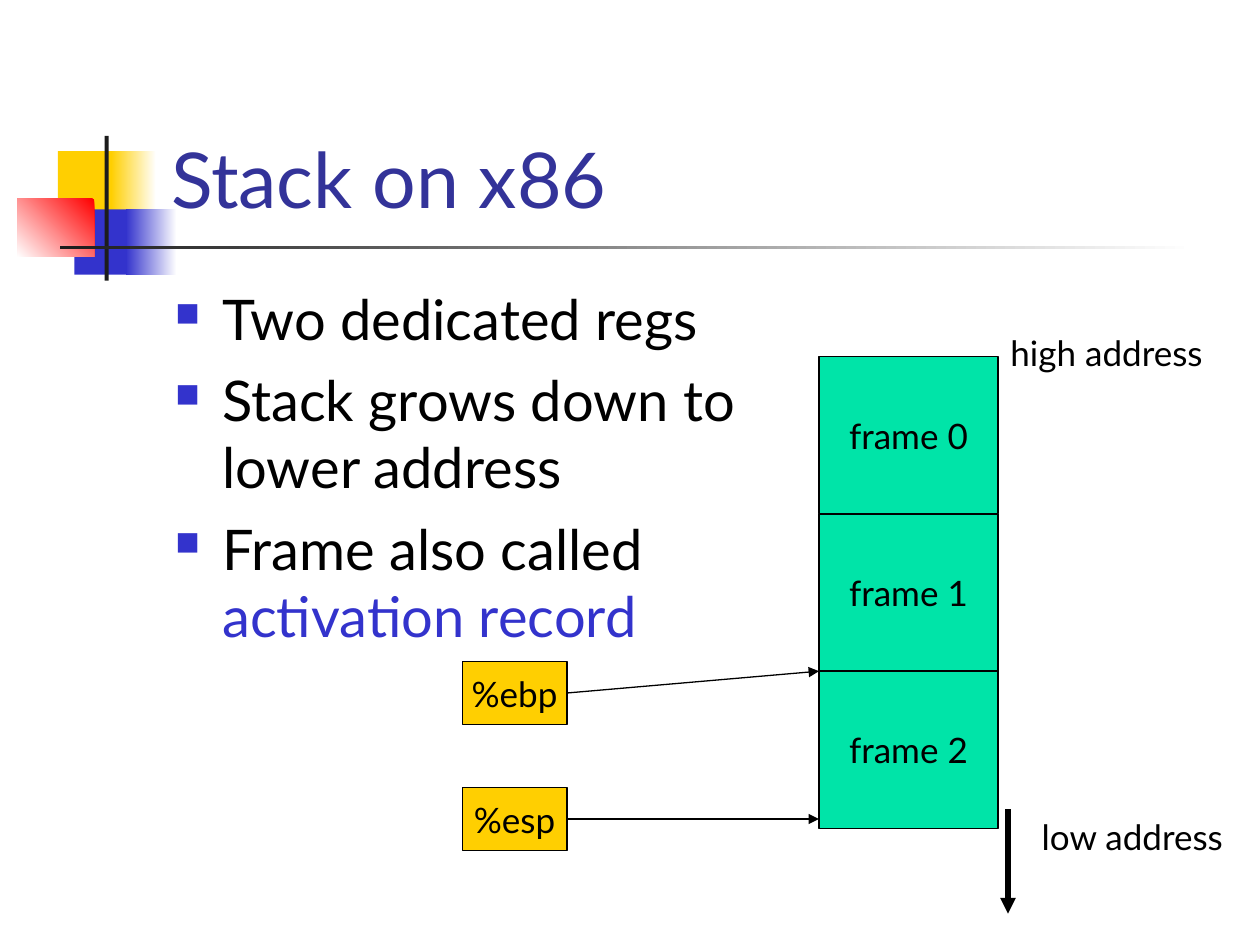
from pptx import Presentation
from pptx.dml.color import RGBColor
from pptx.enum.shapes import MSO_CONNECTOR as Connector, MSO_SHAPE as Shape
from pptx.enum.text import MSO_ANCHOR as Anchor, PP_ALIGN as Align
from pptx.oxml.ns import qn
from pptx.util import Cm, Pt
from lxml.etree import SubElement

FONT = "Lato"
BLACK, DARK, WHITE = "000000", "1C1C1C", "FFFFFF"
YELLOW, BLUE, RED = "FFCF01", "3333CC", "FF0000"
GREEN, TITLE_BLUE = "00E4A8", "333399"


def color(hex_value):
    return RGBColor.from_string(hex_value)


def format_run(run, size, hex_value=BLACK):
    run.font.name = FONT
    run.font.size = Pt(size)
    run.font.color.rgb = color(hex_value)


def add_rectangle(slide, box, fill):
    shape = slide.shapes.add_shape(Shape.RECTANGLE, *map(Cm, box))
    shape.shadow.inherit = False
    shape.line.fill.background()
    shape.fill.solid()
    shape.fill.fore_color.rgb = color(fill)
    return shape


def add_gradient(slide, box, start, end, angle=180):
    shape = add_rectangle(slide, box, start)
    shape.fill.gradient()
    shape.fill.gradient_angle = angle
    for stop, hex_value in zip(shape.fill.gradient_stops, (start, end)):
        stop.color.rgb = color(hex_value)


def add_labelled_box(slide, box, fill, text):
    shape = add_rectangle(slide, box, fill)
    shape.line.color.rgb = color(BLACK)
    shape.line.width = Pt(0.75)
    text_frame = shape.text_frame
    text_frame.word_wrap = False
    text_frame.vertical_anchor = Anchor.MIDDLE
    text_frame.text = text
    paragraph = text_frame.paragraphs[0]
    paragraph.alignment = Align.CENTER
    format_run(paragraph.runs[0], 20)


def add_text(slide, box, text, size, hex_value=BLACK, anchor=Anchor.TOP):
    text_frame = slide.shapes.add_textbox(*map(Cm, box)).text_frame
    text_frame.word_wrap = True
    text_frame.vertical_anchor = anchor
    text_frame.text = text
    for paragraph in text_frame.paragraphs:
        format_run(paragraph.runs[0], size, hex_value)
    return text_frame


def add_bullet(paragraph):
    paragraph.space_before = Pt(8)
    properties = paragraph._p.get_or_add_pPr()
    properties.set("marL", str(Cm(0.95)))
    properties.set("indent", str(-Cm(0.95)))
    bullet_color = SubElement(properties, qn("a:buClr"))
    SubElement(bullet_color, qn("a:srgbClr"), val=BLUE)
    SubElement(properties, qn("a:buSzPct"), val="60000")
    SubElement(properties, qn("a:buChar"), char="■")


def add_arrow(slide, start, end, width=0.75):
    arrow = slide.shapes.add_connector(
        Connector.STRAIGHT, *map(Cm, start + end))
    arrow.line.color.rgb = color(BLACK)
    arrow.line.width = Pt(width)
    SubElement(arrow.line._get_or_add_ln(), qn("a:tailEnd"), type="triangle")
    SubElement(arrow._element.spPr, qn("a:effectLst"))


def add_decoration(slide):
    add_rectangle(slide, (1.17, 3.05, 1.22, 1.32), YELLOW)
    add_gradient(slide, (2.24, 3.05, 0.91, 1.32), WHITE, YELLOW)
    add_rectangle(slide, (1.5, 4.22, 1.17, 1.32), BLUE)
    add_gradient(slide, (2.54, 4.22, 1.02, 1.32), WHITE, BLUE)
    add_gradient(slide, (0.35, 4.01, 1.55, 1.17), RED, WHITE, angle=225)
    add_rectangle(slide, (2.11, 2.74, 0.08, 2.92), DARK)
    add_gradient(slide, (1.22, 4.95, 22.86, 0.08), WHITE, DARK)


def add_body(slide):
    lines = ("Two dedicated regs", "Stack grows down to lower address",
             "Frame also called ")
    text_frame = add_text(slide, (3.28, 5.61, 12.6, 11.43),
                          "\n".join(lines), 32)
    for paragraph in text_frame.paragraphs:
        add_bullet(paragraph)
    term = text_frame.paragraphs[-1].add_run()
    term.text = "activation record"
    format_run(term, 32, BLUE)


def add_stack(slide):
    left, top, width, height = 16.51, 7.19, 3.61, 3.17
    for index in range(3):
        add_labelled_box(slide, (left, top + index * height, width, height),
                         GREEN, f"frame {index}")

    # Registers and the places they point to
    registers = (("%ebp", 13.34, top + 2 * height), ("%esp", 15.88, 16.51))
    for name, register_top, target in registers:
        add_labelled_box(slide, (9.32, register_top, 2.11, 1.27), YELLOW, name)
        add_arrow(slide, (11.43, register_top + 0.63), (left, target))

    # Address labels and direction of growth
    add_text(slide, (20.12, 6.55, 4.65, 1.96), "high address", 20)
    add_text(slide, (20.75, 16.31, 4.65, 1.12), "low address", 20)
    add_arrow(slide, (20.32, 16.31), (20.32, 18.42), width=3)


def main():
    presentation = Presentation()
    presentation.slide_width, presentation.slide_height = Cm(25.4), Cm(19.05)
    slide = presentation.slides.add_slide(presentation.slide_layouts[6])
    add_decoration(slide)
    add_text(slide, (3.2, 0.58, 21.64, 4.06), "Stack on x86", 44,
             TITLE_BLUE, Anchor.BOTTOM)
    add_body(slide)
    add_stack(slide)
    presentation.save("out.pptx")


if __name__ == "__main__":
    main()
